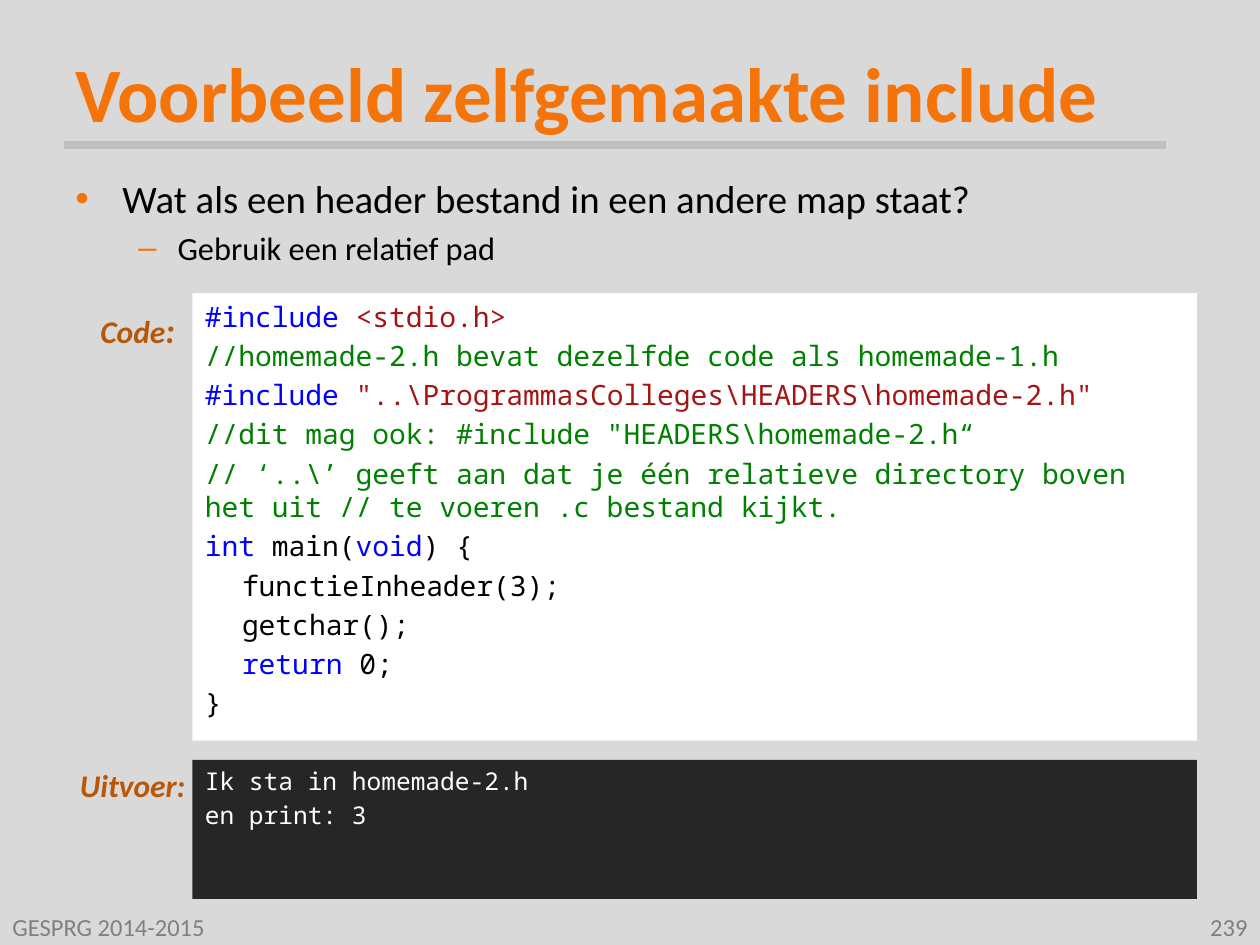
from lxml import etree
from pptx import Presentation
from pptx import util as u
from pptx.dml.color import RGBColor
from pptx.enum import shapes, text
from pptx.oxml import ns

GREY = RGBColor(0xD9, 0xD9, 0xD9)
RULE_GREY = RGBColor(0xBF, 0xBF, 0xBF)
FOOTER_GREY = RGBColor(0x80, 0x80, 0x80)
ORANGE = RGBColor(0xF4, 0x74, 0x0A)
BROWN = RGBColor(0xB7, 0x57, 0x07)
BLACK = RGBColor(0, 0, 0)
WHITE = RGBColor(0xFF, 0xFF, 0xFF)
CONSOLE = RGBColor(0x26, 0x26, 0x26)
KEYWORD = RGBColor(0, 0, 0xFF)
STRING = RGBColor(0xA3, 0x15, 0x15)
COMMENT = RGBColor(0, 0x80, 0)

SANS = "Calibri"
MONO = "Noto Sans Mono"
LEFT, RIGHT = text.PP_ALIGN.LEFT, text.PP_ALIGN.RIGHT

CODE = [
    [("#include", KEYWORD), (" ", BLACK), ("<stdio.h>", STRING)],
    [("//homemade-2.h bevat dezelfde code als homemade-1.h", COMMENT)],
    [("#include", KEYWORD), (" ", BLACK),
     ('"..\\ProgrammasColleges\\HEADERS\\homemade-2.h"', STRING)],
    [('//dit mag ook: #include "HEADERS\\homemade-2.h“', COMMENT)],
    [("// ‘..\\’ geeft aan dat je één relatieve directory boven "
      "het uit // te voeren .c bestand kijkt.", COMMENT)],
    [("int", KEYWORD), (" main(", BLACK), ("void", KEYWORD), (") {", BLACK)],
    [("\tfunctieInheader(3);", BLACK)],
    [("\tgetchar();", BLACK)],
    [("\treturn", KEYWORD), (" 0;", BLACK)],
    [("}", BLACK)],
]
OUTPUT = [[("Ik sta in homemade-2.h", WHITE)], [("en print: 3", WHITE)]]


def style(span, font, size, colour, bold=False, italic=False):
    span.font.name = font
    span.font.size = u.Pt(size)
    span.font.color.rgb = colour
    span.font.bold = bold
    span.font.italic = italic


def add_bullet(para, char, margin, hanging):
    props = para._p.get_or_add_pPr()
    props.set("marL", str(u.Cm(margin)))
    props.set("indent", str(-u.Cm(hanging)))
    colour = etree.SubElement(props, ns.qn("a:buClr"))
    etree.SubElement(colour, ns.qn("a:srgbClr"), val=str(ORANGE))
    etree.SubElement(props, ns.qn("a:buFont"), typeface="Arial")
    etree.SubElement(props, ns.qn("a:buChar"), char=char)


def add_tab_stop(para, position):
    tabs = etree.SubElement(para._p.get_or_add_pPr(), ns.qn("a:tabLst"))
    etree.SubElement(tabs, ns.qn("a:tab"), pos=str(u.Cm(position)), algn="l")


def add_title(page, title):
    holder = page.shapes.title
    holder.left, holder.top = u.Cm(1.27), u.Cm(0.76)
    holder.width, holder.height = u.Cm(22.86), u.Cm(2.16)
    frame = holder.text_frame
    frame.text = title
    frame.vertical_anchor = text.MSO_ANCHOR.MIDDLE
    frame.paragraphs[0].alignment = LEFT
    style(frame.paragraphs[0].runs[0], SANS, 44, ORANGE, bold=True)


def add_rule(page):
    rule = page.shapes.add_connector(
        shapes.MSO_CONNECTOR.STRAIGHT, u.Cm(1.3), u.Cm(2.92), u.Cm(23.5), u.Cm(2.92))
    rule.line.color.rgb = RULE_GREY
    rule.line.width = u.Pt(4.5)
    etree.SubElement(rule._element.spPr, ns.qn("a:effectLst"))


def add_text_box(page, left, top, width, height):
    box = page.shapes.add_textbox(u.Cm(left), u.Cm(top), u.Cm(width), u.Cm(height))
    box.text_frame.word_wrap = True
    return box.text_frame


def add_bullets(page):
    frame = add_text_box(page, 1.27, 3.4, 22.86, 2.13)
    frame.text = ("Wat als een header bestand in een andere map staat?\n"
                  "Gebruik een relatief pad")
    main_point, sub_point = frame.paragraphs
    add_bullet(main_point, "•", 0.95, 0.95)
    add_bullet(sub_point, "–", 2.06, 0.79)
    sub_point.level = 1
    sub_point.space_before = u.Pt(3.7)
    style(main_point.runs[0], SANS, 22.2, BLACK)
    style(sub_point.runs[0], SANS, 18.5, BLACK)


def add_listing(page, top, height, fill, size, lines):
    """Draw a filled panel of monospaced lines, each a list of (text, colour)."""
    panel = page.shapes.add_shape(
        shapes.MSO_SHAPE.RECTANGLE, u.Cm(3.88), u.Cm(top), u.Cm(20.25), u.Cm(height))
    panel.shadow.inherit = False
    panel.fill.solid()
    panel.fill.fore_color.rgb = fill
    panel.line.fill.background()
    frame = panel.text_frame
    frame.word_wrap = True
    frame.vertical_anchor = text.MSO_ANCHOR.TOP
    for number, line in enumerate(lines):
        para = frame.add_paragraph() if number else frame.paragraphs[0]
        para.alignment = LEFT
        if number:
            para.space_before = u.Pt(size * 0.2)
        if line[0][0].startswith("\t"):
            add_tab_stop(para, 0.75)
        for words, colour in line:
            span = para.add_run()
            span.text = words
            style(span, MONO, size, colour)


def add_label(page, left, top, width, height, words):
    """Add a bold italic side label, right-aligned."""
    para = add_text_box(page, left, top, width, height).paragraphs[0]
    para.text = words
    para.alignment = RIGHT
    style(para.runs[0], SANS, 18, BROWN, bold=True, italic=True)
    return para


def add_footer(page, left, words, alignment):
    frame = add_text_box(page, left, 18.31, 5.92, 0.74)
    frame.text = words
    frame.vertical_anchor = text.MSO_ANCHOR.MIDDLE
    frame.paragraphs[0].alignment = alignment
    style(frame.paragraphs[0].runs[0], SANS, 14, FOOTER_GREY)


def main():
    deck = Presentation()
    deck.slide_width, deck.slide_height = u.Cm(25.4), u.Cm(19.05)
    page = deck.slides.add_slide(deck.slide_layouts[5])
    page.background.fill.solid()
    page.background.fill.fore_color.rgb = GREY

    add_rule(page)
    add_title(page, "Voorbeeld zelfgemaakte include")
    add_bullets(page)
    code_label = add_label(page, 1.19, 6.1, 2.59, 3.68, "Code")
    colon = code_label.add_run()
    colon.text = ":"
    style(colon, SANS, 20, BROWN, bold=True, italic=True)
    add_label(page, 1.02, 15.32, 2.97, 1.8, "Uitvoer:")
    add_listing(page, 15.32, 2.8, CONSOLE, 14, OUTPUT)
    add_listing(page, 5.91, 9.02, WHITE, 16, CODE)
    add_footer(page, 0, "GESPRG 2014-2015", LEFT)
    add_footer(page, 19.48, "239", RIGHT)
    deck.save("out.pptx")


if __name__ == "__main__":
    main()
